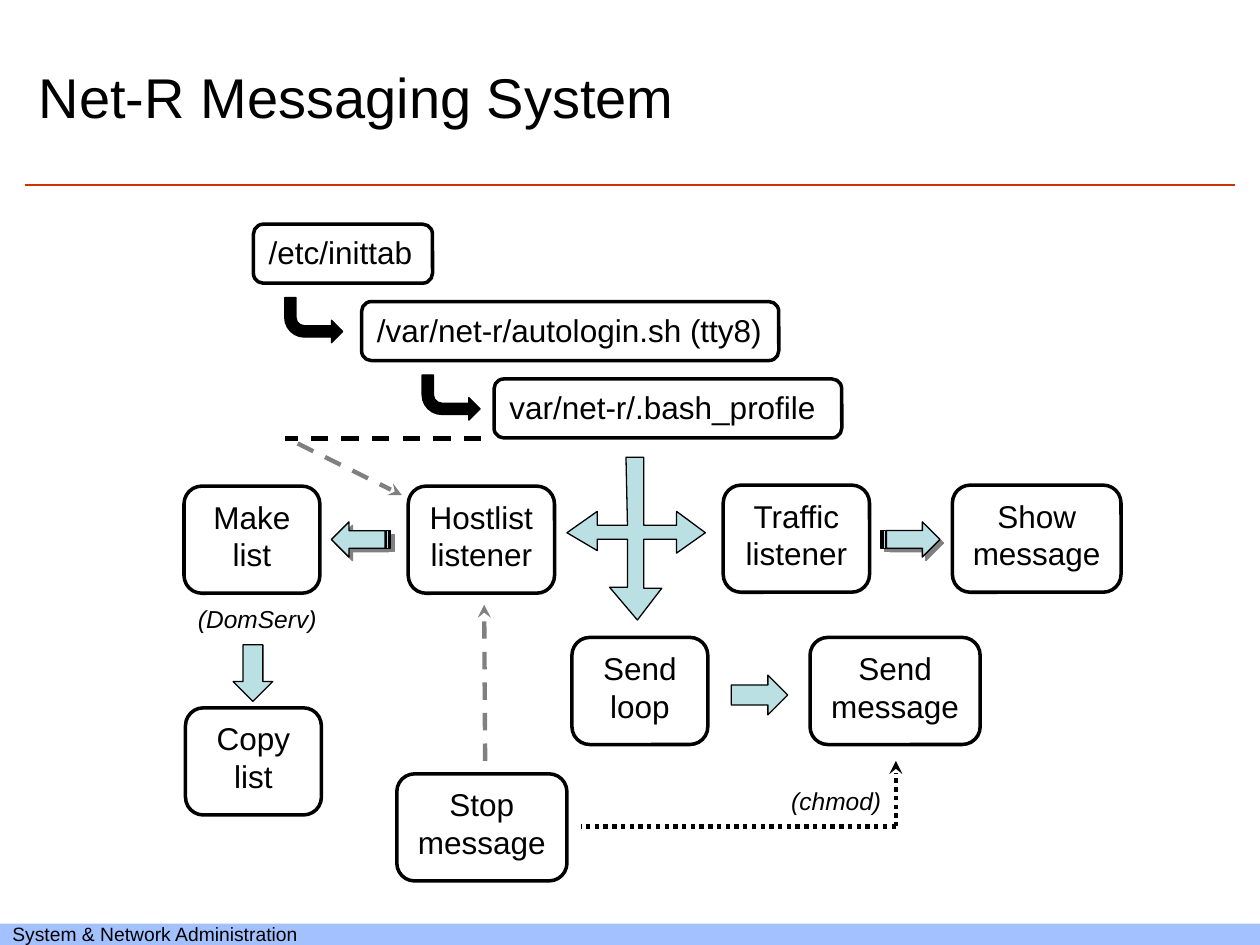
import pptx
import pptx.dml.color
import pptx.enum.dml
import pptx.enum.shapes
import pptx.enum.text
import pptx.oxml.ns
import pptx.util
from lxml import etree

Cm, Pt = pptx.util.Cm, pptx.util.Pt
RGBColor = pptx.dml.color.RGBColor
SHAPE = pptx.enum.shapes.MSO_SHAPE
DASH = pptx.enum.dml.MSO_LINE
ALIGN = pptx.enum.text.PP_ALIGN
ANCHOR = pptx.enum.text.MSO_ANCHOR
qn = pptx.oxml.ns.qn

BLACK = RGBColor(0x00, 0x00, 0x00)
WHITE = RGBColor(0xFF, 0xFF, 0xFF)
GREY = RGBColor(0x80, 0x80, 0x80)
TEAL = RGBColor(0xBB, 0xE0, 0xE3)
RED = RGBColor(0xCC, 0x33, 0x00)
BLUE = RGBColor(0xA2, 0xC1, 0xFE)

TITLE_FONT = {"name": "Arial", "size": Pt(32)}
BOX_FONT = {"name": "Arial", "size": Pt(18)}
LABEL_FONT = {"name": "Arial", "size": Pt(14), "italic": True}
FOOTER_FONT = {"name": "Arial", "size": Pt(11)}


def write(frame, text, font, align=ALIGN.LEFT, anchor=ANCHOR.TOP):
    frame.word_wrap = True
    frame.vertical_anchor = anchor
    paragraph = frame.paragraphs[0]
    paragraph.text = text
    paragraph.alignment = align
    for name, value in font.items():
        setattr(paragraph.font, name, value)
    paragraph.font.color.rgb = BLACK


def paint(shape, fill, line=None, width=0.75):
    shape.shadow.inherit = False
    shape.fill.solid()
    shape.fill.fore_color.rgb = fill
    if line is None:
        shape.line.fill.background()
    else:
        shape.line.color.rgb = line
        shape.line.width = Pt(width)


def add_shape(slide, kind, left, top, width, height):
    return slide.shapes.add_shape(kind, Cm(left), Cm(top), Cm(width), Cm(height))


def add_step(slide, text, left, top, width, height, align):
    step = add_shape(slide, SHAPE.ROUNDED_RECTANGLE, left, top, width, height)
    paint(step, WHITE, BLACK, 2)
    write(step.text_frame, text, BOX_FONT, align)


def add_arrow(slide, kind, left, top, width, height, rotation=0, fill=TEAL):
    arrow = add_shape(slide, kind, left, top, width, height)
    paint(arrow, fill, BLACK)
    arrow.rotation = rotation
    return arrow


def add_line(slide, start, end, color, width, dash=None, pointed=False):
    line = slide.shapes.add_connector(
        pptx.enum.shapes.MSO_CONNECTOR.STRAIGHT, *map(Cm, start + end))
    line.line.color.rgb = color
    line.line.width = Pt(width)
    if dash is not None:
        line.line.dash_style = dash
    properties = line._element.spPr
    if pointed:
        etree.SubElement(properties.find(qn("a:ln")), qn("a:tailEnd"), type="stealth")
    etree.SubElement(properties, qn("a:effectLst"))


def cast_shadow(shape):
    """Give the shape a hard grey shadow to the lower right."""
    effects = shape._element.spPr.find(qn("a:effectLst"))
    shadow = etree.SubElement(effects, qn("a:outerShdw"), dist=str(Pt(2.8)),
                              dir="2700000", algn="ctr", rotWithShape="0")
    etree.SubElement(shadow, qn("a:srgbClr"), val=str(GREY))


def title_region(slide, left, top, width, height):
    title = slide.shapes.title
    title.left, title.top, title.width, title.height = map(
        Cm, (left, top, width, height))
    write(title.text_frame, "Net-R Messaging System", TITLE_FONT, anchor=ANCHOR.MIDDLE)
    rule_y = top + height + 0.38
    add_line(slide, (left - 0.02, rule_y), (left + 24.36, rule_y), RED, 1.5)


def footer_region(slide, left, top, width, height):
    bar = add_shape(slide, SHAPE.RECTANGLE, left, top, width, height)
    paint(bar, BLUE)
    bar.text_frame.margin_top = bar.text_frame.margin_bottom = 0
    write(bar.text_frame, "System & Network Administration", FOOTER_FONT,
          anchor=ANCHOR.MIDDLE)


def startup_region(slide, left, top):
    """Staircase of the files that are run at boot."""
    pitch = 1.56
    files = [("/etc/inittab", 0, 3.61),
             ("/var/net-r/autologin.sh (tty8)", 2.18, 8.41),
             ("var/net-r/.bash_profile", 4.85, 7.01)]
    for row, (text, x, width) in enumerate(files):
        add_step(slide, text, left + x, top + row * pitch, width, 1.19, ALIGN.LEFT)
    for row, x in enumerate((0.63, 3.4)):
        turn = add_arrow(slide, SHAPE.BENT_ARROW, left + x, top + row * pitch + 1.48,
                         1.17, 0.91, fill=BLACK)
        turn._element.spPr.find(qn("a:xfrm")).set("flipV", "1")


def three_way_arrow(slide, left, top):
    outline = [(1.55, 0), (1.55, 1.37), (2.21, 1.37), (2.21, 1.09), (2.79, 1.52),
               (2.21, 1.93), (2.21, 1.65), (1.55, 1.65), (1.55, 2.64), (1.91, 2.64),
               (1.42, 3.28), (0.86, 2.62), (1.22, 2.62), (1.22, 1.65), (0.61, 1.65),
               (0.61, 1.88), (0, 1.52), (0.61, 1.09), (0.61, 1.37), (1.22, 1.37),
               (1.19, 0)]
    points = [(Cm(left + x), Cm(top + y)) for x, y in outline]
    builder = slide.shapes.build_freeform(*points[0])
    builder.add_line_segments(points[1:], close=True)
    paint(builder.convert_to_shape(), TEAL, BLACK)


def process_region(slide, left, top):
    """Listeners, senders and the signals between them."""
    processes = [("Make list", 0, 0.58, 2.74), ("Hostlist listener", 4.52, 0.58, 2.95),
                 ("Traffic listener", 10.87, 0.56, 2.95),
                 ("Show message", 15.49, 0.56, 3.4), ("Copy list", 0.03, 5.05, 2.74),
                 ("Send loop", 7.82, 3.63, 2.74), ("Send message", 12.62, 3.63, 3.43),
                 ("Stop message", 4.29, 6.38, 3.43)]
    for text, x, y, width in processes:
        add_step(slide, text, left + x, top + y, width, 2.16, ALIGN.CENTER)

    three_way_arrow(slide, left + 7.72, top)
    for x, y, rotation in ((11.2, 4.22, 270), (0.99, 3.78, 0)):
        add_arrow(slide, SHAPE.DOWN_ARROW, left + x, top + y, 0.8, 1.14, rotation)
    for x, rotation in ((2.97, 180), (14.05, 0)):
        cast_shadow(add_arrow(slide, SHAPE.STRIPED_RIGHT_ARROW, left + x, top + 1.3,
                              1.19, 0.71, rotation))

    signals = [((5.99, -0.38), (2.03, -0.38), BLACK, DASH.DASH, False),
               ((2.29, -0.28), (4.39, 0.76), GREY, DASH.DASH, True),
               ((6.07, 6.12), (6.05, 2.97), GREY, DASH.DASH, True),
               ((14.35, 7.44), (8, 7.44), BLACK, DASH.ROUND_DOT, False),
               ((14.35, 7.44), (14.35, 6.12), BLACK, DASH.ROUND_DOT, True)]
    for (x1, y1), (x2, y2), color, dash, pointed in signals:
        add_line(slide, (left + x1, top + y1), (left + x2, top + y2),
                 color, 2.5, dash, pointed)

    for text, x, y, width in (("(DomServ)", 0.03, 2.84, 3), ("(chmod)", 11.99, 6.5, 2.49)):
        label = slide.shapes.add_textbox(Cm(left + x), Cm(top + y), Cm(width), Cm(0.86))
        write(label.text_frame, text, LABEL_FONT)


def main():
    deck = pptx.Presentation()
    deck.slide_width, deck.slide_height = Cm(25.4), Cm(19.05)
    slide = deck.slides.add_slide(deck.slide_layouts[5])
    footer_region(slide, 0, 18.62, 25.4, 0.43)
    title_region(slide, 0.53, 0.51, 18.26, 2.84)
    startup_region(slide, 5.11, 4.52)
    process_region(slide, 3.71, 9.22)
    deck.save("out.pptx")


if __name__ == "__main__":
    main()
